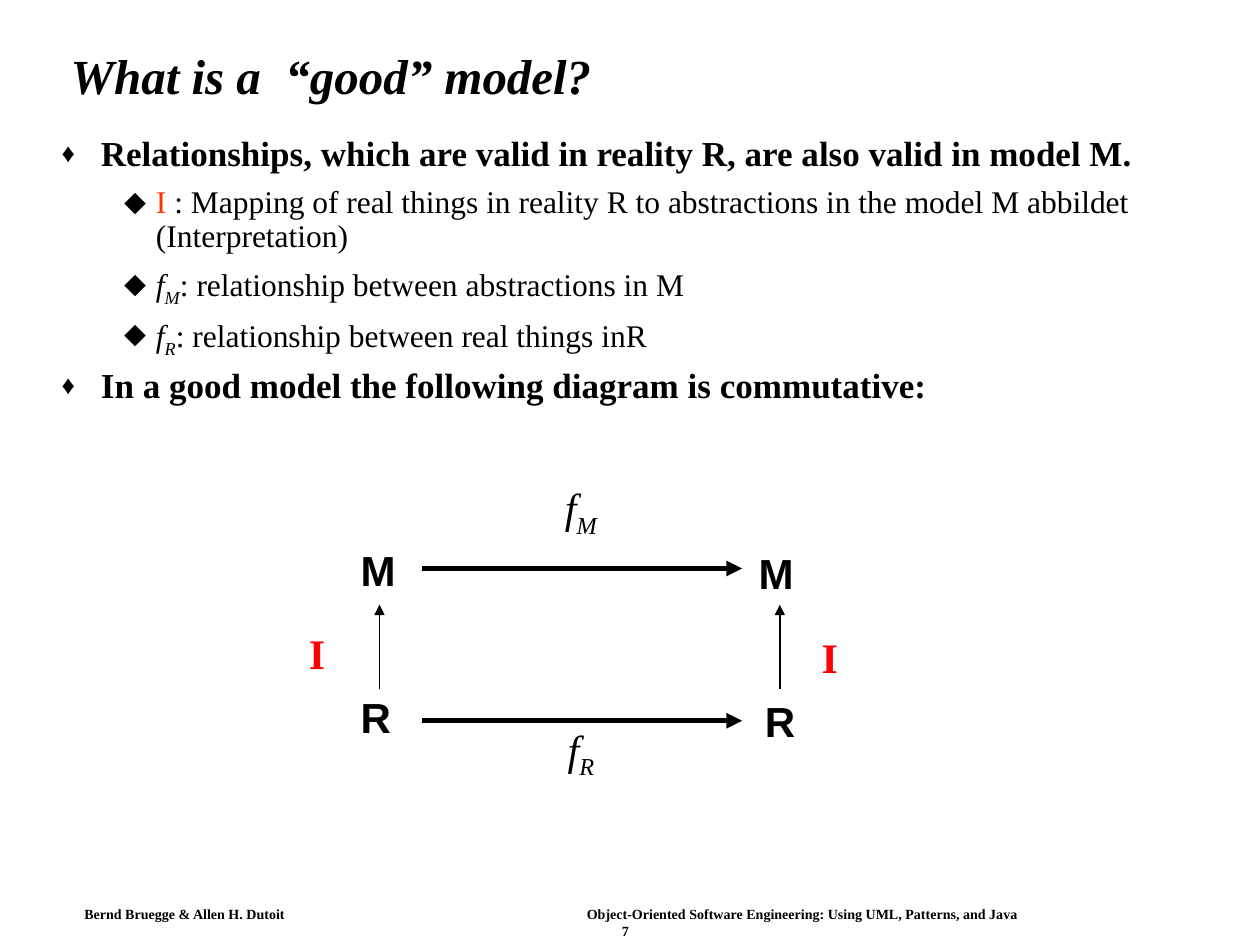
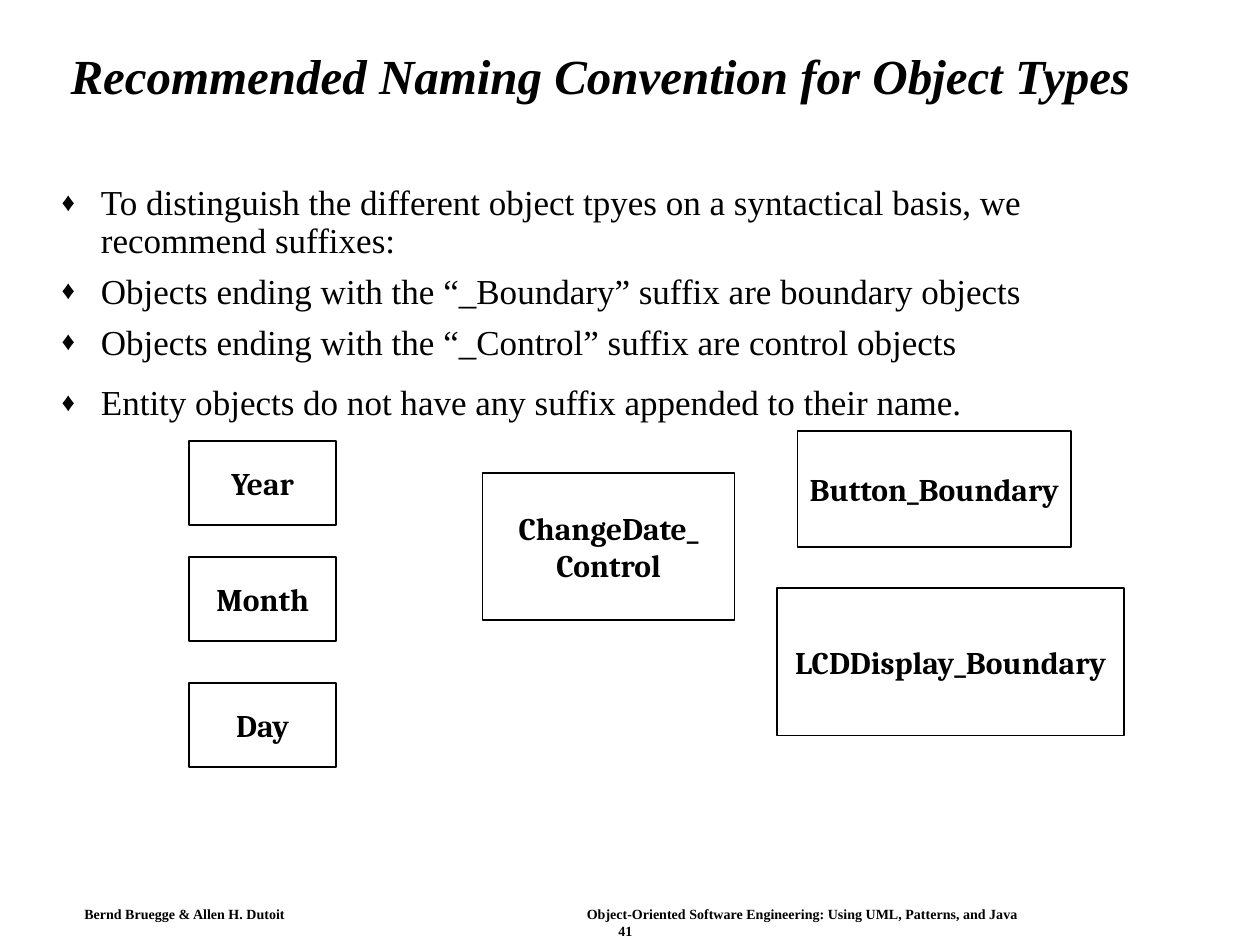
"""Builds two lecture slides on good models and on naming object types."""
from dataclasses import dataclass

from lxml import etree
from pptx import Presentation
from pptx.dml.color import RGBColor
from pptx.enum.shapes import MSO_CONNECTOR, MSO_SHAPE
from pptx.enum.text import MSO_ANCHOR, MSO_AUTO_SIZE, PP_ALIGN
from pptx.oxml.ns import qn
from pptx.util import Cm, Pt

LEFT, CENTER = PP_ALIGN.LEFT, PP_ALIGN.CENTER
TOP, MIDDLE = MSO_ANCHOR.TOP, MSO_ANCHOR.MIDDLE
NO_RESIZE = MSO_AUTO_SIZE.NONE
STRAIGHT, RECTANGLE = MSO_CONNECTOR.STRAIGHT, MSO_SHAPE.RECTANGLE


@dataclass(frozen=True)
class Theme:
    ink: str = "000000"
    paper: str = "FFFFFF"
    accent: str = "FF3300"
    mapping: str = "FF0000"
    serif: str = "Times New Roman"
    sans: str = "Arial"
    object_face: str = "Cambria"
    title_size: int = 28
    symbol_size: int = 24
    list_size: int = 20
    detail_size: int = 18
    footer_size: int = 8


@dataclass(frozen=True)
class Bullet:
    char: str
    percent: int
    margin: float
    hanging: float
    size: int
    space_before: float


THEME = Theme()
BULLETS = (
    Bullet("♦", 75, 0.79, 0.79, THEME.list_size, 7.5),
    Bullet("⬥", 100, 1.9, 0.64, THEME.detail_size, 6.8),
)


class SlideBuilder:
    def __init__(self, deck, theme):
        self.deck = deck
        self.theme = theme
        self.page = None

    def start_page(self, title, number):
        self.page = self.deck.slides.add_slide(self.deck.slide_layouts[1])
        self.page.background.fill.solid()
        self.page.background.fill.fore_color.rgb = RGBColor.from_string(self.theme.paper)
        self.footer(number)
        box = self.page.shapes.title
        self.place(box, 1.17, 0.61, 22.66, 1.96)
        self.frame(box, MIDDLE)
        para = box.text_frame.paragraphs[0]
        para.alignment = LEFT
        para.line_spacing = 0.9
        self.add_spans(para, [title], self.theme.title_size, bold=True, italic=True)

    def footer(self, number):
        box = self.page.shapes.add_textbox(Cm(1.5), Cm(18.16), Cm(22.22), Cm(0.8))
        frame = self.frame(box, TOP)
        frame.margin_left = frame.margin_right = Cm(0.2)
        frame.margin_top = frame.margin_bottom = Cm(0.1)
        credit, page_number = frame.paragraphs[0], frame.add_paragraph()
        tabs = etree.SubElement(credit._p.get_or_add_pPr(), qn("a:tabLst"))
        etree.SubElement(tabs, qn("a:tab"), pos=str(Cm(10.13)), algn="l")
        text = ("Bernd Bruegge & Allen H. Dutoit\t"
                "Object-Oriented Software Engineering: Using UML, Patterns, and Java")
        self.add_spans(credit, [text], self.theme.footer_size, bold=True)
        page_number.alignment = CENTER
        self.add_spans(page_number, [str(number)], self.theme.footer_size, bold=True)

    def place(self, box, left, top, width, height):
        box.left, box.top, box.width, box.height = map(Cm, (left, top, width, height))

    def frame(self, box, anchor, wrap=True):
        frame = box.text_frame
        frame.word_wrap = wrap
        frame.auto_size = NO_RESIZE
        frame.vertical_anchor = anchor
        return frame

    def add_spans(self, para, spans, size, face=None, color=None, bold=False, italic=False):
        font = para.font
        font.name = face or self.theme.serif
        font.size = Pt(size)
        font.bold, font.italic = bold, italic
        font.color.rgb = RGBColor.from_string(color or self.theme.ink)
        for item in spans:
            text, style = item if isinstance(item, tuple) else (item, "plain")
            span = para.add_run()
            span.text = text
            if style in ("italic", "subscript"):
                span.font.italic = True
            if style == "subscript":
                span._r.get_or_add_rPr().set("baseline", "-25000")
            if style == "accent":
                span.font.color.rgb = RGBColor.from_string(self.theme.accent)

    def bullet_list(self, top, height, items, bold=False):
        box = self.page.placeholders[1]
        self.place(box, 0.99, top, 22.94, height)
        frame = self.frame(box, TOP)
        for index, (level, spans) in enumerate(items):
            para = frame.add_paragraph() if index else frame.paragraphs[0]
            bullet = BULLETS[level]
            para.level = level
            para.alignment = LEFT
            para.line_spacing = 0.9
            para.space_before = Pt(bullet.space_before)
            self.add_bullet(para, bullet)
            self.add_spans(para, spans, bullet.size, bold=bold and level == 0)
        return frame

    def add_bullet(self, para, bullet):
        settings = para._p.get_or_add_pPr()
        settings.set("marL", str(Cm(bullet.margin)))
        settings.set("indent", str(-Cm(bullet.hanging)))
        color = etree.SubElement(settings, qn("a:buClr"))
        etree.SubElement(color, qn("a:srgbClr"), val=self.theme.ink)
        etree.SubElement(settings, qn("a:buSzPct"), val=str(bullet.percent * 1000))
        etree.SubElement(settings, qn("a:buChar"), char=bullet.char)

    def label(self, left, top, width, height, spans, **style):
        box = self.page.shapes.add_textbox(Cm(left), Cm(top), Cm(width), Cm(height))
        para = self.frame(box, MIDDLE).paragraphs[0]
        para.alignment = CENTER
        self.add_spans(para, spans, self.theme.symbol_size, **style)

    def arrow(self, start, end, weight):
        line = self.page.shapes.add_connector(STRAIGHT, *map(Cm, start + end))
        line.line.width = Pt(weight)
        line.line.color.rgb = RGBColor.from_string(self.theme.ink)
        etree.SubElement(line.line._get_or_add_ln(), qn("a:tailEnd"), type="triangle")
        etree.SubElement(line._element.spPr, qn("a:effectLst"))

    def object_box(self, left, top, width, height, *lines):
        box = self.page.shapes.add_shape(RECTANGLE, *map(Cm, (left, top, width, height)))
        box.shadow.inherit = False
        box.fill.solid()
        box.fill.fore_color.rgb = RGBColor.from_string(self.theme.paper)
        box.line.color.rgb = RGBColor.from_string(self.theme.ink)
        box.line.width = Pt(1)
        frame = self.frame(box, MIDDLE, wrap=False)
        for index, text in enumerate(lines):
            para = frame.add_paragraph() if index else frame.paragraphs[0]
            para.alignment = CENTER
            self.add_spans(para, [text], self.theme.detail_size, self.theme.object_face,
                           bold=True)


def relation(name):
    return [("f", "italic"), (name, "subscript")]


def build_good_model(builder):
    builder.start_page("What is a  “good” model?", 7)
    builder.bullet_list(2.62, 13.67, [
        (0, ["Relationships, which are valid in reality R, are also valid in model M."]),
        (1, [("I ", "accent"), ": Mapping of real things in reality R to abstractions "
             "in the model M abbildet (Interpretation)"]),
        (1, relation("M") + [": relationship between abstractions in M"]),
        (1, relation("R") + [": relationship between real things inR"]),
        (0, ["In a good model the following diagram is commutative:"]),
    ], bold=True)
    for name, top, arrow_y in (("M", 9.58, 11.46), ("R", 14.45, 14.53)):
        builder.label(10.62, top, 2.18, 1.42, relation(name))
        builder.arrow((8.51, arrow_y), (14.96, arrow_y), 3)
    for name, left, top in (("M", 5.77, 10.85), ("M", 13.79, 10.92),
                            ("R", 5.72, 13.82), ("R", 13.87, 13.89)):
        builder.label(left, top, 3.71, 1.27, [name], face=THEME.sans, bold=True)
    for arrow_x, left, top in ((7.65, 5.97, 12.52), (15.72, 16.31, 12.6)):
        builder.arrow((arrow_x, 13.89), (arrow_x, 12.19), 1)
        builder.label(left, top, 0.84, 1.27, ["I"], color=THEME.mapping, bold=True)


def build_naming_convention(builder):
    builder.start_page("Recommended Naming Convention for Object Types", 41)
    frame = builder.bullet_list(3.61, 5.08, [(0, [text]) for text in (
        "To distinguish the different object tpyes on a syntactical basis, "
        "we recommend suffixes:",
        "Objects ending with the “_Boundary” suffix are boundary objects",
        "Objects ending with the “_Control” suffix are control objects",
        "Entity objects do not have any suffix appended to their name.",
    )])
    frame.paragraphs[-1].space_before = Pt(13)
    for name, top in (("Year", 8.89), ("Month", 11.23), ("Day", 13.77)):
        builder.object_box(3.81, top, 2.97, 1.7, name)
    builder.object_box(9.73, 9.53, 5.08, 2.97, "ChangeDate_", "Control")
    builder.object_box(16.08, 8.69, 5.51, 2.34, "Button_Boundary")
    builder.object_box(15.67, 11.86, 6.99, 2.97, "LCDDisplay_Boundary")


def main():
    deck = Presentation()
    deck.slide_width, deck.slide_height = Cm(25.4), Cm(19.05)
    builder = SlideBuilder(deck, THEME)
    build_good_model(builder)
    build_naming_convention(builder)
    deck.save("out.pptx")


if __name__ == "__main__":
    main()
